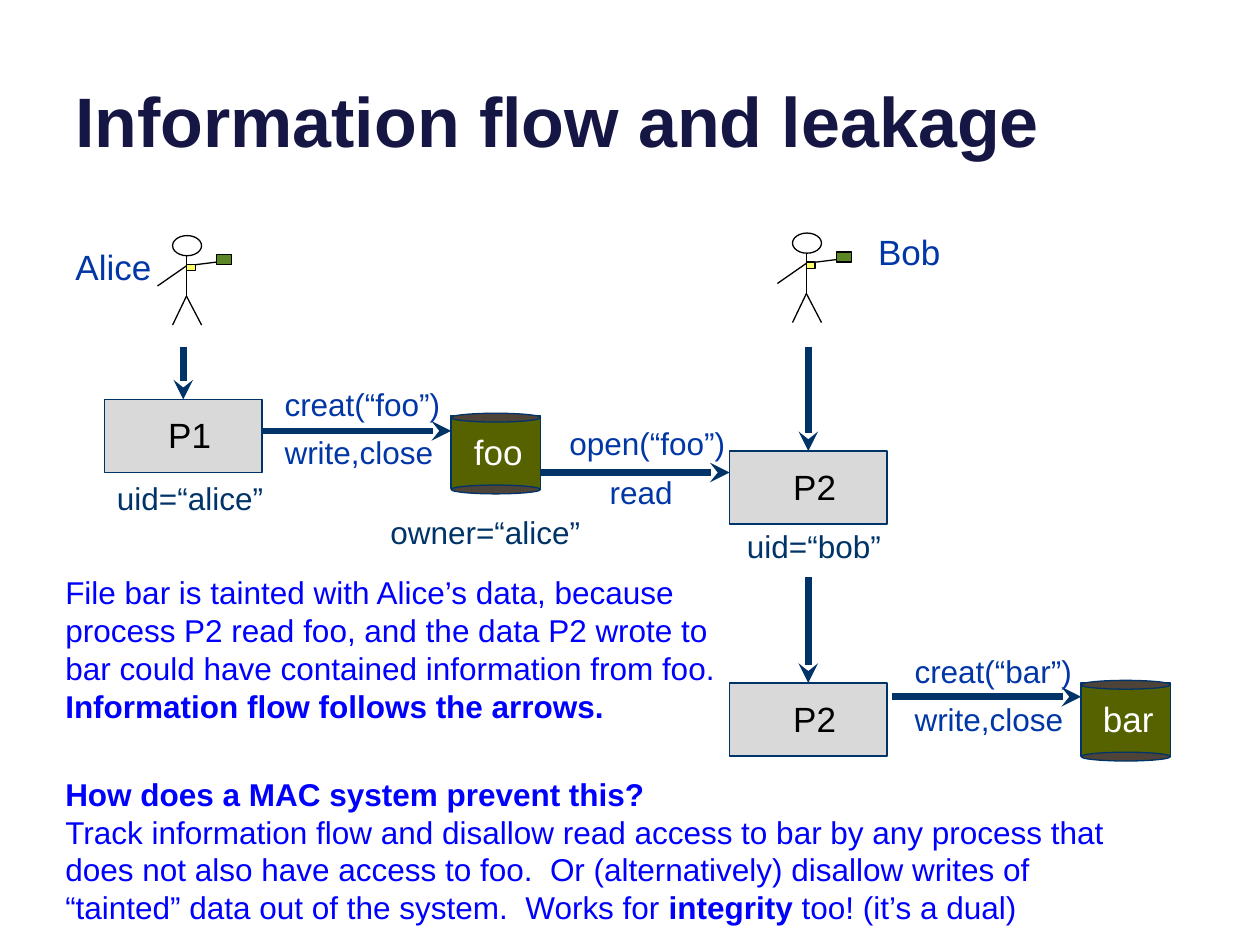
from dataclasses import dataclass

from lxml.etree import SubElement
from pptx import Presentation
from pptx.dml.color import RGBColor
from pptx.enum.shapes import MSO_CONNECTOR, MSO_SHAPE
from pptx.enum.text import MSO_ANCHOR, MSO_AUTO_SIZE, PP_ALIGN
from pptx.oxml.ns import qn
from pptx.util import Inches, Pt


@dataclass(frozen=True)
class Theme:
    font: str = "Arial"
    title: str = "161645"
    navy: str = "003367"
    label: str = "0036A6"
    note: str = "0000FF"
    black: str = "000000"
    white: str = "FFFFFF"
    process: str = "D9D9D9"
    file: str = "566200"
    file_rim: str = "4E4339"
    parcel: str = "5C8526"
    badge: str = "FFFF66"
    title_size: int = 40
    name_size: int = 20
    text_size: int = 18
    thin: float = 0.75
    thick: float = 3.75


THEME = Theme()


def set_attributes(target, values):
    for name, value in values.items():
        setattr(target, name, value)


def add_text(slide, place, paragraphs, color, size, frame_format=None, para_format=None):
    box = slide.shapes.add_textbox(*map(Inches, place))
    frame = box.text_frame
    set_attributes(frame, {"word_wrap": True, "auto_size": MSO_AUTO_SIZE.SHAPE_TO_FIT_TEXT,
                           **(frame_format or {})})
    for index, spans in enumerate(paragraphs):
        para = frame.paragraphs[0] if index == 0 else frame.add_paragraph()
        set_attributes(para, para_format or {})
        for text, bold in spans:
            span = para.add_run()
            span.text = text
            set_attributes(span.font, {"name": THEME.font, "size": Pt(size), "bold": bold})
            span.font.color.rgb = RGBColor.from_string(color)


def add_label(slide, place, text, color=THEME.label, size=THEME.text_size):
    add_text(slide, place, [[(text, False)]], color, size, para_format={"line_spacing": 0.85})


def add_name(slide, place, text, color):
    add_text(slide, place, [[(text, False)]], color, THEME.name_size,
             {"vertical_anchor": MSO_ANCHOR.MIDDLE}, {"alignment": PP_ALIGN.CENTER})


def add_outlined(shapes, kind, place, fill, line):
    shape = shapes.add_shape(kind, *map(Inches, place))
    shape.shadow.inherit = False
    if fill:
        shape.fill.solid()
        shape.fill.fore_color.rgb = RGBColor.from_string(fill)
    else:
        shape.fill.background()
    shape.line.color.rgb = RGBColor.from_string(line)
    shape.line.width = Pt(THEME.thin)
    return shape


def add_line(shapes, start, end, color, width):
    line = shapes.add_connector(MSO_CONNECTOR.STRAIGHT, *map(Inches, (*start, *end)))
    line.line.color.rgb = RGBColor.from_string(color)
    line.line.width = Pt(width)
    SubElement(line._element.spPr, qn("a:effectLst"))
    return line


def add_arrow(slide, start, end):
    arrow = add_line(slide.shapes, start, end, THEME.navy, THEME.thick)
    outline = arrow._element.spPr.find(qn("a:ln"))
    SubElement(outline, qn("a:tailEnd"), type="stealth")
    return arrow


def add_process(slide, left, top, name, arrow_top):
    width, height = 1.25, 0.58
    box = add_outlined(slide.shapes, MSO_SHAPE.RECTANGLE, (left, top, width, height),
                       THEME.process, THEME.navy)
    add_name(slide, (left + 0.05, top + 0.06, width, 0.44), name, THEME.black)
    center = left + width / 2
    arrow = add_arrow(slide, (center, arrow_top), (center, top))
    arrow.end_connect(box, 0)


def add_file(slide, left, top, name):
    width, height, rim = 0.71, 0.58, 0.07
    add_outlined(slide.shapes, MSO_SHAPE.RECTANGLE, (left, top, width, height),
                 THEME.file, THEME.navy)
    add_name(slide, (left + 0.04, top + 0.06, 0.67, 0.44), name, THEME.white)
    for rim_top in (top - 0.02, top + height - 0.03):
        add_outlined(slide.shapes, MSO_SHAPE.OVAL, (left, rim_top, width, rim),
                     THEME.file_rim, THEME.navy)


def add_person(slide, left, top):
    shapes = slide.shapes.add_group_shape().shapes
    neck, hip, shoulder = (0.23, 0.16), (0.23, 0.48), (0.23, 0.24)
    limbs = [(neck, hip), ((0.12, 0.71), hip), ((0.35, 0.71), hip),
             ((0.55, 0.2), shoulder), ((0, 0.4), shoulder)]
    for limb in limbs:
        start, end = [(left + x, top + y) for x, y in limb]
        add_line(shapes, start, end, THEME.black, THEME.thin)
    parts = [
        (MSO_SHAPE.OVAL, (0.12, 0, 0.23, 0.16), None),
        (MSO_SHAPE.RECTANGLE, (0.47, 0.15, 0.12, 0.08), THEME.parcel),
        (MSO_SHAPE.RECTANGLE, (0.23, 0.23, 0.07, 0.05), THEME.badge),
    ]
    for kind, (x, y, width, height), fill in parts:
        add_outlined(shapes, kind, (left + x, top + y, width, height), fill, THEME.black)


def main():
    deck = Presentation()
    set_attributes(deck, {"slide_width": Inches(10), "slide_height": Inches(7.5)})
    slide = deck.slides.add_slide(deck.slide_layouts[6])

    add_text(slide, (0.5, -0.37, 9, 1.7), [[("Information flow and leakage", True)]],
             THEME.title, THEME.title_size,
             {"vertical_anchor": MSO_ANCHOR.BOTTOM, "auto_size": MSO_AUTO_SIZE.NONE})

    for process in [(0.83, 3.17, "P1", 2.75), (5.79, 3.58, "P2", 2.75), (5.79, 5.42, "P2", 4.58)]:
        add_process(slide, *process)
    for file in [(3.58, 3.3, "foo"), (8.58, 5.42, "bar")]:
        add_file(slide, *file)
    for left, level in [(2.08, 3.42), (4.29, 3.75), (7.08, 5.53)]:
        add_arrow(slide, (left, level), (left + 1.5, level))

    for left, top, text in [
        (2.16, 3.05, "creat(“foo”)"), (2.16, 3.43, "write,close"),
        (4.42, 3.36, "open(“foo”)"), (4.74, 3.75, "read"),
        (7.16, 5.17, "creat(“bar”)"), (7.16, 5.55, "write,close"),
    ]:
        add_label(slide, (left, top, 1.59, 0.37), text)
    for left, top, text in [(3, 4.07, "owner=“alice”"), (0.83, 3.8, "uid=“alice”"),
                            (5.83, 4.18, "uid=“bob”")]:
        add_label(slide, (left, top, 1.83, 0.37), text, THEME.navy)

    for person in [(1.25, 1.87), (6.17, 1.85)]:
        add_person(slide, *person)
    for left, top, text in [(0.5, 1.95, "Alice"), (6.87, 1.83, "Bob")]:
        add_label(slide, (left, top, 0.92, 0.4), text, size=THEME.name_size)

    add_text(slide, (0.42, 4.5, 5.67, 1.31), [
        [("File bar is tainted with Alice’s data, because process P2 read foo, and the data "
          "P2 wrote to bar could have contained information from foo.", False)],
        [("Information flow follows the arrows.", True)],
    ], THEME.note, THEME.text_size)
    add_text(slide, (0.42, 6.1, 8.83, 1.31), [
        [("How does a MAC system prevent this?", True)],
        [("Track information flow and disallow read access to bar by any process that does not "
          "also have access to foo.  Or (alternatively) disallow writes of “tainted” data out "
          "of the system.  Works for ", False),
         ("integrity", True), (" too! (it’s a dual)", False)],
    ], THEME.note, THEME.text_size)

    deck.save("out.pptx")


if __name__ == "__main__":
    main()
